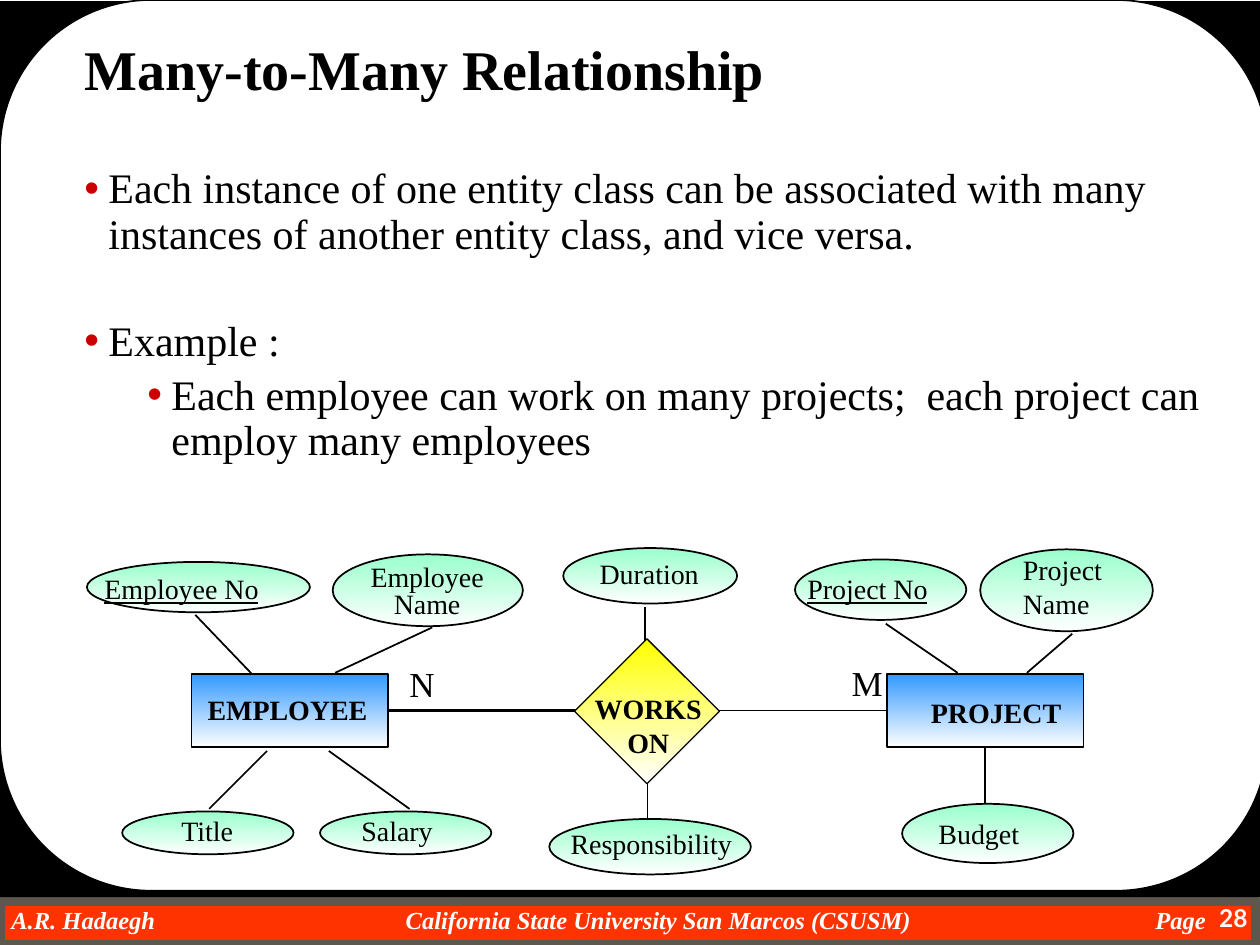
from lxml.etree import SubElement
from pptx import Presentation
from pptx.dml.color import RGBColor
from pptx.enum.shapes import MSO_CONNECTOR as Link, MSO_SHAPE as Shape
from pptx.enum.text import MSO_ANCHOR as Anchor, MSO_AUTO_SIZE as Fit, PP_ALIGN as Align
from pptx.oxml.ns import qn
from pptx.util import Inches, Pt

BLACK = RGBColor(0x00, 0x00, 0x00)
WHITE = RGBColor(0xFF, 0xFF, 0xFF)
FOOTER_RED = RGBColor(0xFF, 0x33, 0x00)
FOOTER_EDGE = RGBColor(0x5E, 0x57, 0x4E)
BULLET_RED = RGBColor(0xCC, 0x00, 0x00)
ENTITY_BLUE = RGBColor(0x33, 0x99, 0xFF)
ATTRIBUTE_GREEN = RGBColor(0x99, 0xFF, 0xCC)
RELATION_YELLOW = RGBColor(0xFF, 0xFF, 0x00)

SERIF = "Times New Roman"
LABEL = {"name": SERIF, "size": Pt(16)}
STRONG = {**LABEL, "bold": True}
KEY = {**LABEL, "underline": True}
CARDINALITY = {**LABEL, "size": Pt(20)}
TITLE = {"name": SERIF, "size": Pt(32), "bold": True}
BODY = {"name": SERIF, "size": Pt(24), "bold": False}
FOOTER = {"name": SERIF, "size": Pt(14), "bold": True, "italic": True}
PAGE_NUMBER = {"name": "Lato", "size": Pt(14), "bold": True}
NO_MARGINS = {"margin_right": 0, "margin_top": 0, "margin_bottom": 0}

BULLETS = [
    ("Each instance of one entity class can be associated with many "
     "instances of another entity class, and vice versa.", 0, 0),
    ("Example :", 0, 35.5),
    ("Each employee can work on many projects;  each project can "
     "employ many employees", 1, 4.8),
]
ATTRIBUTES = [
    ((6.31, 4.44, 1.36, 0.48), "Project No", (6.31, 4.49, 1.16, 0.36), KEY, {}),
    ((7.78, 4.36, 1.37, 0.65), "Project\nName", (8.02, 4.34, 0.83, 0.63), LABEL, {}),
    ((7.16, 6.38, 1.36, 0.47), "Budget", (7.35, 6.43, 0.84, 0.36), LABEL, {}),
    ((0.69, 4.46, 1.77, 0.4), "Employee No", (0.73, 4.49, 1.43, 0.36), KEY, {}),
    ((2.64, 4.4, 1.51, 0.57), "Employee\nName", (2.84, 4.44, 1.1, 0.52), LABEL,
     {"alignment": Align.CENTER, "line_spacing": 0.8}),
    ((2.54, 6.44, 1.36, 0.34), "Salary", (2.77, 6.41, 0.77, 0.36), LABEL, {}),
    ((0.97, 6.44, 1.36, 0.34), "Title", (1.34, 6.41, 0.62, 0.36), LABEL, {}),
    ((4.36, 6.5, 1.6, 0.44), "Responsibility", (4.43, 6.51, 1.49, 0.36), LABEL, {}),
    ((4.47, 4.35, 1.38, 0.44), "Duration", (4.66, 4.37, 0.99, 0.36), LABEL, {}),
]
ATTRIBUTE_LINKS = [
    (7.03, 4.95, 7.6, 5.34), (8.51, 5.03, 8.15, 5.34), (1.55, 4.88, 2.0, 5.35),
    (3.43, 4.98, 2.66, 5.34), (2.12, 5.96, 1.66, 6.42), (2.61, 5.96, 3.25, 6.42),
    (5.14, 6.22, 5.14, 6.5), (5.12, 4.82, 5.12, 5.1),
]


def inches(lengths):
    """Convert a sequence of numbers to lengths."""
    return [Inches(length) for length in lengths]


def set_all(target, formats):
    """Set every named attribute on the target."""
    for name, value in formats.items():
        setattr(target, name, value)


def style_text(paragraph, font, color, layout):
    """Format a paragraph and all of its runs."""
    set_all(paragraph, layout)
    for run in paragraph.runs:
        set_all(run.font, font)
        run.font.color.rgb = color


def add_figure(slide, kind, box, color, edge=None, width=1, fade=False):
    """Add a filled shape, optionally fading to white at the bottom."""
    figure = slide.shapes.add_shape(kind, *inches(box))
    figure.shadow.inherit = False
    if fade:
        figure.fill.gradient()
        figure.fill.gradient_angle = 270
        for stop, tint in zip(figure.fill.gradient_stops, (color, WHITE)):
            stop.color.rgb = tint
    else:
        figure.fill.solid()
        figure.fill.fore_color.rgb = color
    if edge is None:
        figure.line.fill.background()
    else:
        figure.line.color.rgb = edge
        figure.line.width = Pt(width)
    return figure


def add_label(slide, text, box, font, color=BLACK, layout={}, frame={}):
    """Add a text box with one format throughout."""
    label = slide.shapes.add_textbox(*inches(box))
    label.text_frame.text = text
    set_all(label.text_frame, {"word_wrap": False, **frame})
    for paragraph in label.text_frame.paragraphs:
        style_text(paragraph, font, color, layout)
    return label


def add_link(slide, ends, width=1):
    """Add a straight black line."""
    link = slide.shapes.add_connector(Link.STRAIGHT, *inches(ends))
    link.line.color.rgb = BLACK
    link.line.width = Pt(width)
    SubElement(link._element.spPr, qn("a:effectLst"))
    return link


def add_tabs(paragraph, positions):
    """Give a paragraph left tab stops."""
    tabs = SubElement(paragraph._p.get_or_add_pPr(), qn("a:tabLst"))
    for position in positions:
        SubElement(tabs, qn("a:tab"), pos=str(Inches(position)), algn="l")


def add_bullet(paragraph, indent):
    """Give a paragraph a red bullet with a hanging indent."""
    properties = paragraph._p.get_or_add_pPr()
    properties.set("marL", str(Inches(indent)))
    properties.set("indent", str(Inches(-0.19)))
    color = SubElement(properties, qn("a:buClr"))
    SubElement(color, qn("a:srgbClr"), val=str(BULLET_RED))
    SubElement(properties, qn("a:buChar"), char="•")


def add_backdrop(slide):
    """Draw the footer bar and the white panel on black."""
    add_figure(slide, Shape.RECTANGLE, (0, 7.15, 9.97, 0.35), FOOTER_RED, FOOTER_EDGE, 6)
    footer = add_label(
        slide, "A.R. Hadaegh\tCalifornia State University San Marcos (CSUSM)\tPage",
        (0, 7.18, 9.68, 0.23), FOOTER, WHITE,
        frame={**NO_MARGINS, "margin_left": Inches(0.09), "word_wrap": True})
    add_tabs(footer.text_frame.paragraphs[0], (3.13, 9.08))
    add_figure(slide, Shape.RECTANGLE, (0, 0.01, 10, 7.11), BLACK)
    panel = add_figure(slide, Shape.ROUNDED_RECTANGLE, (0, 0, 10.06, 7.07), WHITE, BLACK)
    panel.adjustments[0] = 0.17
    add_label(slide, "28", (9.25, 7.12, 0.75, 0.38), PAGE_NUMBER, WHITE,
              {"alignment": Align.RIGHT}, {"word_wrap": True})


def place(slide, placeholder, box):
    """Move a placeholder in front of the backdrop and into its box."""
    slide.shapes._spTree.append(placeholder._element)
    set_all(placeholder, dict(zip(("left", "top", "width", "height"), inches(box))))
    set_all(placeholder.text_frame, {"vertical_anchor": Anchor.TOP,
                                     "auto_size": Fit.NONE, "word_wrap": True})
    return placeholder.text_frame


def fill_text(slide):
    """Write the title and the bulleted list."""
    heading = place(slide, slide.shapes.title, (0.57, 0.33, 9.07, 0.6))
    heading.text = "Many-to-Many Relationship"
    style_text(heading.paragraphs[0], TITLE, BLACK,
               {"alignment": Align.LEFT, "line_spacing": 0.8})
    points = place(slide, slide.placeholders[1], (0.57, 1.28, 9.07, 2.51))
    points.text = "\n".join(text for text, _, _ in BULLETS)
    for point, (_, level, gap) in zip(points.paragraphs, BULLETS):
        add_bullet(point, 0.19 + 0.5 * level)
        style_text(point, BODY, BLACK, {"level": level, "line_spacing": 0.9,
                                        "space_before": Pt(gap)})


def add_diagram(slide):
    """Draw the entities, their attributes and the relationship."""
    employee, project = [
        add_figure(slide, Shape.RECTANGLE, (left, 5.35, 1.56, 0.58),
                   ENTITY_BLUE, BLACK, 0.75, fade=True) for left in (1.52, 7.04)]
    add_label(slide, "EMPLOYEE", (1.55, 5.45, 1.5, 0.36), STRONG)
    add_label(slide, "PROJECT", (7.29, 5.47, 1.4, 0.36), STRONG)
    for oval, text, box, font, layout in ATTRIBUTES:
        add_figure(slide, Shape.OVAL, oval, ATTRIBUTE_GREEN, BLACK, fade=True)
        add_label(slide, text, box, font, layout=layout)
    for ends in ATTRIBUTE_LINKS:
        add_link(slide, ends)
    add_link(slide, (7.82, 6.38, 7.82, 5.93)).end_connect(project, 2)
    add_link(slide, (4.68, 5.64, 3.08, 5.64), 1.5).end_connect(employee, 3)
    add_link(slide, (7.04, 5.64, 5.65, 5.64)).begin_connect(project, 1)
    add_figure(slide, Shape.DIAMOND, (4.56, 5.07, 1.15, 1.15),
               RELATION_YELLOW, BLACK, 0.75, fade=True)
    add_label(slide, "WORKS\nON", (4.62, 5.44, 1.05, 0.63), STRONG,
              layout={"alignment": Align.CENTER}, frame={"word_wrap": True})
    add_label(slide, "N", (3.15, 5.21, 0.4, 0.43), CARDINALITY)
    add_label(slide, "M", (6.66, 5.2, 0.45, 0.43), CARDINALITY)


def main():
    """Build the slide and save it."""
    deck = Presentation()
    deck.slide_width, deck.slide_height = inches((10, 7.5))
    slide = deck.slides.add_slide(deck.slide_layouts[1])
    add_backdrop(slide)
    fill_text(slide)
    add_diagram(slide)
    deck.save("out.pptx")


if __name__ == "__main__":
    main()
